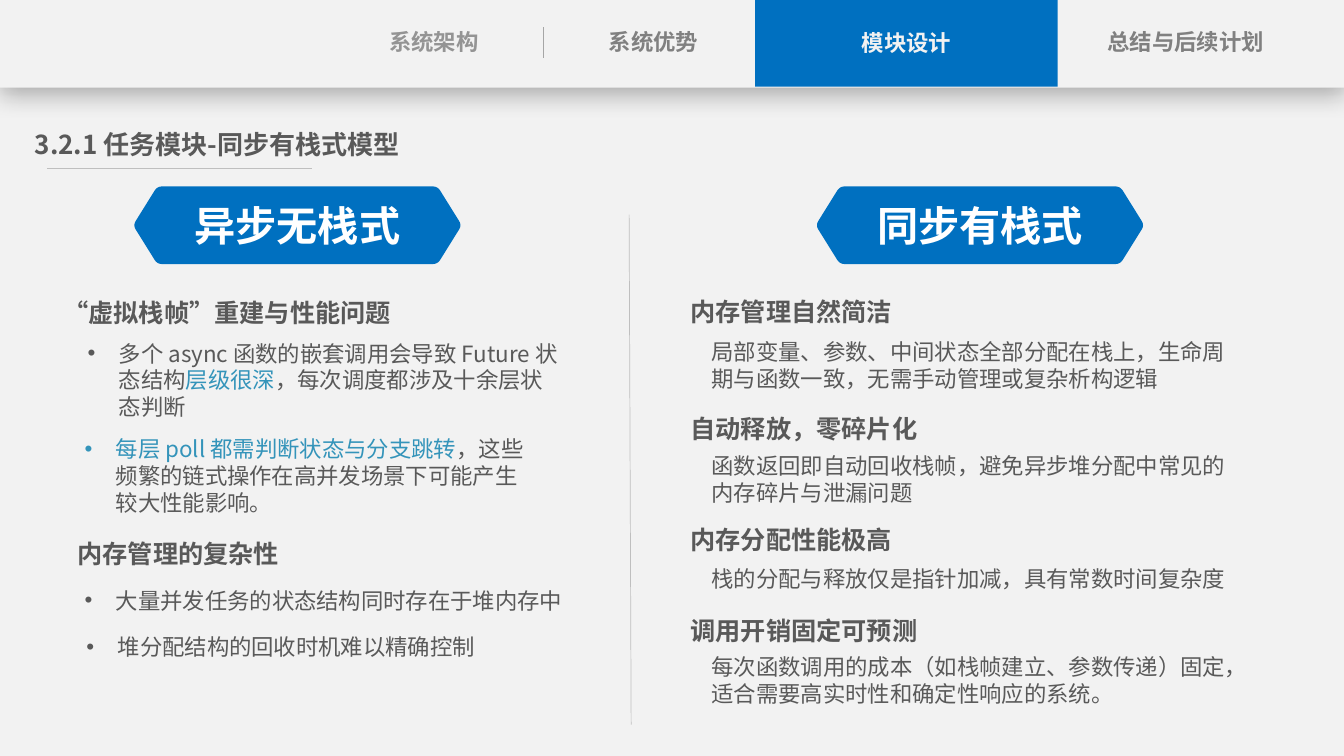
from lxml.etree import SubElement
from pptx import Presentation
from pptx.dml.color import RGBColor
from pptx.enum.shapes import MSO_CONNECTOR as Conn, MSO_SHAPE as Shape
from pptx.enum.text import MSO_ANCHOR as Anchor, MSO_AUTO_SIZE as Fit, PP_ALIGN as Align
from pptx.oxml.ns import qn
from pptx.util import Inches, Pt

FONT = "Noto Sans CJK SC"
BLUE = RGBColor(0x00, 0x70, 0xC0)
TEAL = RGBColor(0x34, 0x94, 0xBA)
INK = RGBColor(0x59, 0x59, 0x59)
GREY = RGBColor(0x80, 0x80, 0x80)
PALE = RGBColor(0x94, 0x94, 0x94)
RULE = RGBColor(0xBF, 0xBF, 0xBF)
SPLIT = RGBColor(0xA6, 0xA6, 0xA6)
BACK = RGBColor(0xF2, 0xF2, 0xF2)
WHITE = RGBColor(0xFF, 0xFF, 0xFF)

# Left, top, width, height, then bullet runs
LEFT = [
    ("“虚拟栈帧”重建与性能问题", (0.53, 2.97, 3.6, 0.34)),
    ("内存管理的复杂性", (0.67, 5.36, 3.02, 0.34)),
]
POINTS = [
    ((0.77, 3.3, 4.89, 0.94), None,
     [("多个 async 函数的嵌套调用会导致 Future 状态结构", INK),
      ("层级很深", TEAL), ("，每次调度都涉及十余层状态判断", INK)]),
    ((0.74, 4.26, 4.7, 0.91), None,
     [("每层 poll 都需判断状态与分支跳转", TEAL),
      ("，这些频繁的链式操作在高并发场景下可能产生较大性能影响。", INK)]),
    ((0.74, 5.81, 5.02, 0.34), 16.5, [("大量并发任务的状态结构同时存在于堆内存中", INK)]),
    ((0.76, 6.27, 4.94, 0.34), 16.5, [("堆分配结构的回收时机难以精确控制", INK)]),
]
# Heading, its top, body, its top, body width and height
RIGHT = [
    ("内存管理自然简洁", 2.96,
     "局部变量、参数、中间状态全部分配在栈上，生命周期与函数一致，无需手动管理或复杂析构逻辑",
     3.31, 5.36, 0.64),
    ("自动释放，零碎片化", 4.12,
     "函数返回即自动回收栈帧，避免异步堆分配中常见的内存碎片与泄漏问题", 4.44, 5.36, 0.64),
    ("内存分配性能极高", 5.22,
     "栈的分配与释放仅是指针加减，具有常数时间复杂度", 5.56, 5.43, 0.37),
    ("调用开销固定可预测", 6.13,
     "每次函数调用的成本（如栈帧建立、参数传递）固定，适合需要高实时性和确定性响应的系统。",
     6.43, 5.43, 0.64),
]
TABS = [("系统架构", 3.57, 1.47, PALE), ("系统优势", 5.64, 1.68, GREY),
        ("总结与后续计划", 10.92, 1.68, GREY)]


def add_run(para, text, size, color, bold=False):
    run = para.add_run()
    run.text = text
    font = run.font
    font.size, font.bold, font.name = Pt(size), bold, FONT
    font.color.rgb = color
    SubElement(font._element, qn("a:ea"), typeface=FONT)


def add_text(slide, box, runs, size, bold=False, lead=None, bullet=False, center=False):
    """Place one paragraph; centred text has no side insets."""
    frame = slide.shapes.add_textbox(*map(Inches, box)).text_frame
    frame.word_wrap = True
    frame.auto_size = Fit.SHAPE_TO_FIT_TEXT
    para = frame.paragraphs[0]
    if bullet:
        props = para._p.get_or_add_pPr()
        props.set("marL", str(Inches(0.31)))
        props.set("indent", str(Inches(-0.31)))
        SubElement(props, qn("a:buFont"), typeface="Arial")
        SubElement(props, qn("a:buChar"), char="•")
        if lead is None:
            frame.vertical_anchor = Anchor.MIDDLE
    if center:
        frame.margin_left = frame.margin_right = 0
        para.alignment = Align.CENTER
    if lead:
        para.line_spacing = Pt(lead)
    for text, color in runs:
        add_run(para, text, size, color, bold)


def add_head(slide, text, box):
    add_text(slide, box, [(text, INK)], 18, bold=True, lead=16.5)


def add_rule(slide, start, end, color=RULE):
    line = slide.shapes.add_connector(Conn.STRAIGHT, *map(Inches, start + end))
    line.line.color.rgb = color
    line.line.width = Pt(0.5)
    SubElement(line._element.spPr, qn("a:effectLst"))


def paint(shape, color):
    shape.shadow.inherit = False
    shape.fill.solid()
    shape.fill.fore_color.rgb = color
    shape.line.fill.background()


def set_label(shape, text, size, color):
    frame = shape.text_frame
    frame.vertical_anchor = Anchor.MIDDLE
    para = frame.paragraphs[0]
    para.alignment = Align.CENTER
    add_run(para, text, size, color, bold=True)


def round_off(corners, reach, steps=6):
    """Replace each corner by a short quadratic curve."""
    points = []
    for i, (x, y) in enumerate(corners):
        ends = []
        for u, v in (corners[i - 1], corners[(i + 1) % len(corners)]):
            part = reach / ((u - x) ** 2 + (v - y) ** 2) ** 0.5
            ends.append((x + (u - x) * part, y + (v - y) * part))
        (ax, ay), (bx, by) = ends
        for k in range(steps + 1):
            t = k / steps
            p, q, r = (1 - t) ** 2, 2 * t * (1 - t), t * t
            points.append((p * ax + q * x + r * bx, p * ay + q * y + r * by))
    return points


def add_badge(slide, text, left, top, wide=3.22, high=0.77):
    slant, tip = 0.22, 0.02
    corners = [(slant, 0), (wide - slant, 0), (wide + tip, high / 2),
               (wide - slant, high), (slant, high), (-tip, high / 2)]
    points = [(Inches(left + x), Inches(top + y)) for x, y in round_off(corners, 0.05)]
    form = slide.shapes.build_freeform(*points[0])
    form.add_line_segments(points[1:], close=True)
    badge = form.convert_to_shape()
    paint(badge, BLUE)
    set_label(badge, text, 29.4, WHITE)


def add_nav(slide, wide, high):
    bar = slide.shapes.add_shape(Shape.RECTANGLE, 0, 0, Inches(wide), Inches(high))
    paint(bar, BACK)
    glow = SubElement(bar._element.spPr.find(qn("a:effectLst")), qn("a:outerShdw"),
                      blurRad=str(Pt(18)), dist=str(Pt(4)), dir="5400000",
                      algn="t", rotWithShape="0")
    tint = SubElement(glow, qn("a:srgbClr"), val="000000")
    SubElement(tint, qn("a:alpha"), val="29000")
    for text, left, span, color in TABS:
        add_text(slide, (left, 0.23, span, 0.38), [(text, color)], 16, bold=True, center=True)
    tab = slide.shapes.add_shape(Shape.RECTANGLE, Inches(7.49), Inches(-0.01),
                                 Inches(3), Inches(high))
    paint(tab, BLUE)
    set_label(tab, "模块设计", 16, BACK)
    add_rule(slide, (5.39, 0.27), (5.39, 0.58), SPLIT)


def add_title(slide, left, top):
    add_rule(slide, (left + 0.28, top + 0.44), (left + 2.9, top + 0.44))
    add_text(slide, (left, top, 3.93, 0.42), [("3.2.1 任务模块-同步有栈式模型", INK)],
             18.6, bold=True, center=True)


def add_left(slide):
    add_badge(slide, "异步无栈式", 1.34, 1.85)
    for text, box in LEFT:
        add_head(slide, text, box)
    for box, lead, runs in POINTS:
        add_text(slide, box, runs, 16, lead=lead, bullet=True)


def add_right(slide, left):
    add_badge(slide, "同步有栈式", left + 1.36, 1.85)
    for head, top, body, low, wide, high in RIGHT:
        add_head(slide, head, (left, top, 3.6, 0.35))
        add_text(slide, (left + 0.21, low, wide, high), [(body, INK)], 16)


def main():
    deck = Presentation()
    deck.slide_width, deck.slide_height = Inches(13.33), Inches(7.5)
    slide = deck.slides.add_slide(deck.slide_layouts[6])
    slide.background.fill.solid()
    slide.background.fill.fore_color.rgb = BACK
    add_title(slide, 0.19, 1.23)
    add_rule(slide, (6.26, 7.19), (6.24, 2.13))
    add_left(slide)
    add_right(slide, 6.75)
    add_nav(slide, 13.33, 0.87)
    deck.save("out.pptx")


if __name__ == "__main__":
    main()
